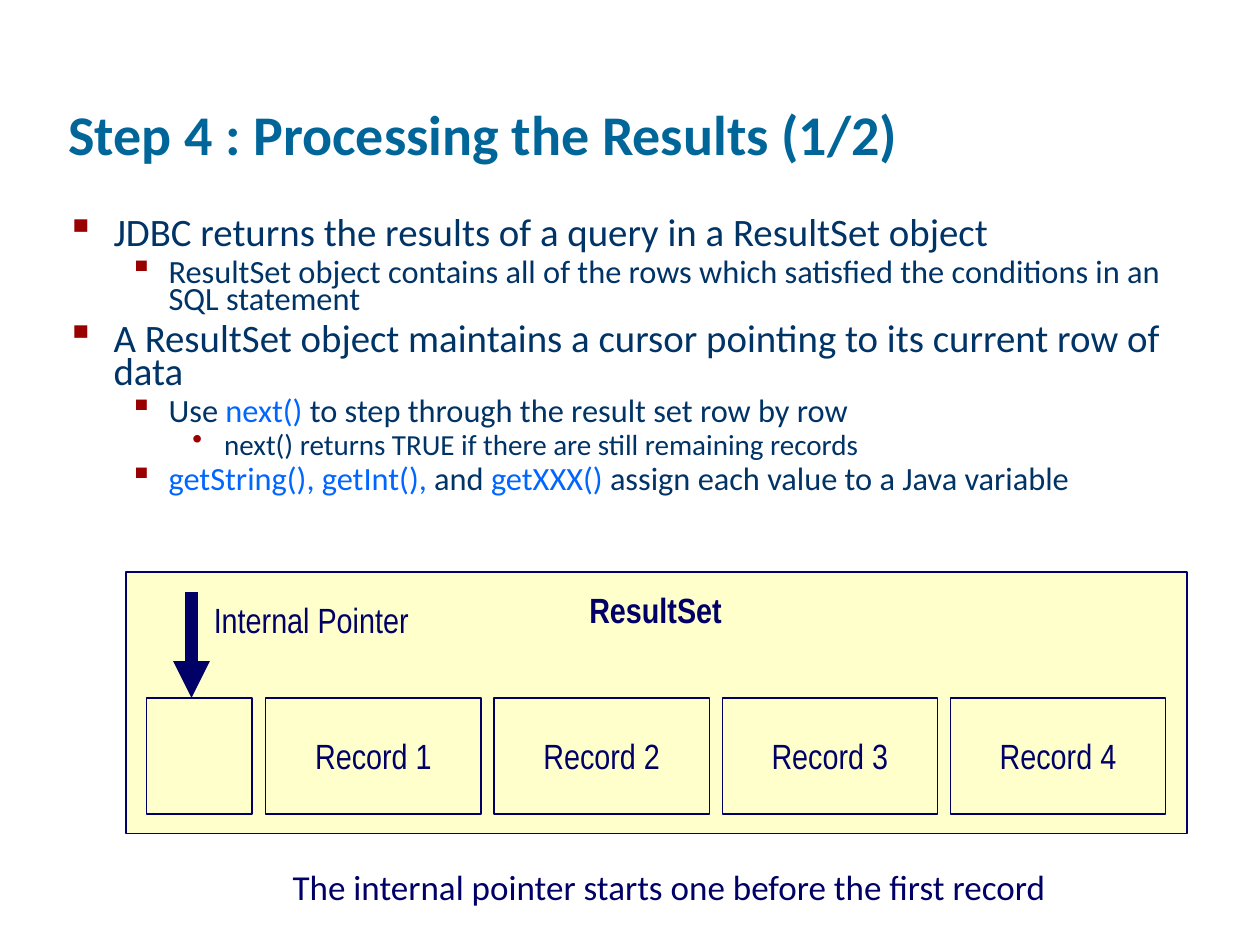
from typing import NamedTuple

from lxml.etree import SubElement
from pptx import Presentation
from pptx.dml.color import RGBColor
from pptx.enum.shapes import MSO_CONNECTOR, MSO_SHAPE
from pptx.enum.text import MSO_ANCHOR, MSO_AUTO_SIZE, PP_ALIGN
from pptx.oxml.ns import qn
from pptx.util import Cm, Pt

COLORS = {
    "title": "006699",
    "body": "003366",
    "code": "0066FF",
    "bullet": "990000",
    "diagram": "000066",
    "panel": "FFFFCC",
}
BODY_FONT = "Calibri"
DIAGRAM_FONT = "Arial Narrow"


class Box(NamedTuple):
    left: float
    top: float
    width: float
    height: float

    def emu(self) -> list:
        return [Cm(length) for length in self]


class Level(NamedTuple):
    margin: float
    hanging: float
    size: float
    space_before: float
    bullet: str


class Point(NamedTuple):
    level: int
    phrases: list  # (text, colour name) pairs


class Label(NamedTuple):
    text: str
    box: Box
    font: str = DIAGRAM_FONT
    bold: bool = False
    centered: bool = False


LEVELS = [
    Level(0.95, 0.95, 22.2, 6, "▪"),
    Level(2.06, 0.79, 18.5, 5, "▪"),
    Level(3.18, 0.64, 16.6, 4.5, "•"),
]
POINTS = [
    Point(0, [("JDBC returns the results of a query in a ResultSet object", "body")]),
    Point(1, [("ResultSet object contains all of the rows which satisfied "
               "the conditions in an SQL statement", "body")]),
    Point(0, [("A ResultSet object maintains a cursor pointing to its "
               "current row of data", "body")]),
    Point(1, [("Use ", "body"), ("next()", "code"),
              (" to step through the result set row by row", "body")]),
    Point(2, [("next() returns TRUE if there are still remaining records", "body")]),
    Point(1, [("getString(), getInt(),", "code"), (" and ", "body"),
              ("getXXX()", "code"),
              (" assign each value to a Java variable", "body")]),
]
LABELS = [
    Label("ResultSet", Box(11.63, 11.73, 3.18, 1.12), bold=True),
    Label("Internal Pointer", Box(4.06, 11.94, 4.45, 1.12)),
    Label("The internal pointer starts one before the first record",
          Box(4.09, 17.32, 18.8, 1.12), font=BODY_FONT, centered=True),
]

# Record row geometry
ROW_TOP, ROW_HEIGHT = 14.07, 2.34
RECORD_LEFT, RECORD_WIDTH, RECORD_PITCH = 5.36, 4.34, 4.6
RECORD_COUNT = 4


def rgb(name: str) -> RGBColor:
    return RGBColor.from_string(COLORS[name])


def style(font, name: str, size: float, color: str, bold: bool = False) -> None:
    font.name, font.size, font.bold = name, Pt(size), bold
    font.color.rgb = rgb(color)


def add_point(paragraph, point: Point, is_first: bool) -> None:
    level = LEVELS[point.level]
    paragraph.level = point.level
    paragraph.line_spacing = 0.7
    paragraph.space_before = Pt(0 if is_first else level.space_before)
    properties = paragraph._p.get_or_add_pPr()
    properties.set("marL", str(Cm(level.margin)))
    properties.set("indent", str(-Cm(level.hanging)))
    bullet_color = SubElement(properties, qn("a:buClr"))
    SubElement(bullet_color, qn("a:srgbClr"), val=COLORS["bullet"])
    SubElement(properties, qn("a:buChar"), char=level.bullet)
    for text, color in point.phrases:
        run = paragraph.add_run()
        run.text = text
        style(run.font, BODY_FONT, level.size, color)


def add_panel(slide, box: Box, text: str = "") -> None:
    panel = slide.shapes.add_shape(MSO_SHAPE.RECTANGLE, *box.emu())
    panel.shadow.inherit = False
    panel.fill.solid()
    panel.fill.fore_color.rgb = rgb("panel")
    panel.line.color.rgb = rgb("diagram")
    panel.line.width = Pt(0.75)
    if text:
        frame = panel.text_frame
        frame.text = text
        frame.word_wrap = False
        frame.vertical_anchor = MSO_ANCHOR.MIDDLE
        frame.paragraphs[0].alignment = PP_ALIGN.CENTER
        style(frame.paragraphs[0].runs[0].font, DIAGRAM_FONT, 20, "diagram")


def add_label(slide, label: Label) -> None:
    frame = slide.shapes.add_textbox(*label.box.emu()).text_frame
    frame.text = label.text
    frame.word_wrap = label.centered
    frame.auto_size = MSO_AUTO_SIZE.SHAPE_TO_FIT_TEXT
    paragraph = frame.paragraphs[0]
    paragraph.alignment = PP_ALIGN.CENTER if label.centered else PP_ALIGN.LEFT
    style(paragraph.runs[0].font, label.font, 20, "diagram", label.bold)


def add_pointer(slide, x: float, top: float, bottom: float) -> None:
    pointer = slide.shapes.add_connector(
        MSO_CONNECTOR.STRAIGHT, Cm(x), Cm(top), Cm(x), Cm(bottom))
    pointer.line.color.rgb = rgb("diagram")
    pointer.line.width = Pt(7)
    outline = pointer._element.spPr.find(qn("a:ln"))
    SubElement(outline, qn("a:tailEnd"), type="triangle")
    SubElement(pointer._element.spPr, qn("a:effectLst"))


def main() -> None:
    presentation = Presentation()
    presentation.slide_width, presentation.slide_height = Cm(25.4), Cm(19.05)
    slide = presentation.slides.add_slide(presentation.slide_layouts[5])

    # Title
    title = slide.shapes.title
    title.left, title.top, title.width, title.height = Box(1.12, 0.3, 21.59, 3.18).emu()
    heading = title.text_frame
    heading.text = "Step 4 : Processing the Results (1/2)"
    heading.auto_size = MSO_AUTO_SIZE.NONE
    heading.vertical_anchor = MSO_ANCHOR.BOTTOM
    heading.paragraphs[0].alignment = PP_ALIGN.LEFT
    style(heading.paragraphs[0].runs[0].font, BODY_FONT, 32, "title", bold=True)

    # Bulleted explanation
    body = slide.shapes.add_textbox(*Box(1.09, 4.32, 22.71, 7.21).emu()).text_frame
    body.word_wrap = True
    for index, point in enumerate(POINTS):
        paragraph = body.add_paragraph() if index else body.paragraphs[0]
        add_point(paragraph, point, is_first=index == 0)

    # ResultSet frame, the slot before the first record, and the records
    add_panel(slide, Box(2.54, 11.53, 21.39, 5.28))
    add_panel(slide, Box(2.95, ROW_TOP, 2.13, ROW_HEIGHT))
    for index in range(RECORD_COUNT):
        left = RECORD_LEFT + index * RECORD_PITCH
        add_panel(slide, Box(left, ROW_TOP, RECORD_WIDTH, ROW_HEIGHT),
                  f"Record {index + 1}")

    # Pointer and labels
    add_pointer(slide, 3.86, 11.94, ROW_TOP)
    for label in LABELS:
        add_label(slide, label)

    presentation.save("out.pptx")


if __name__ == "__main__":
    main()
